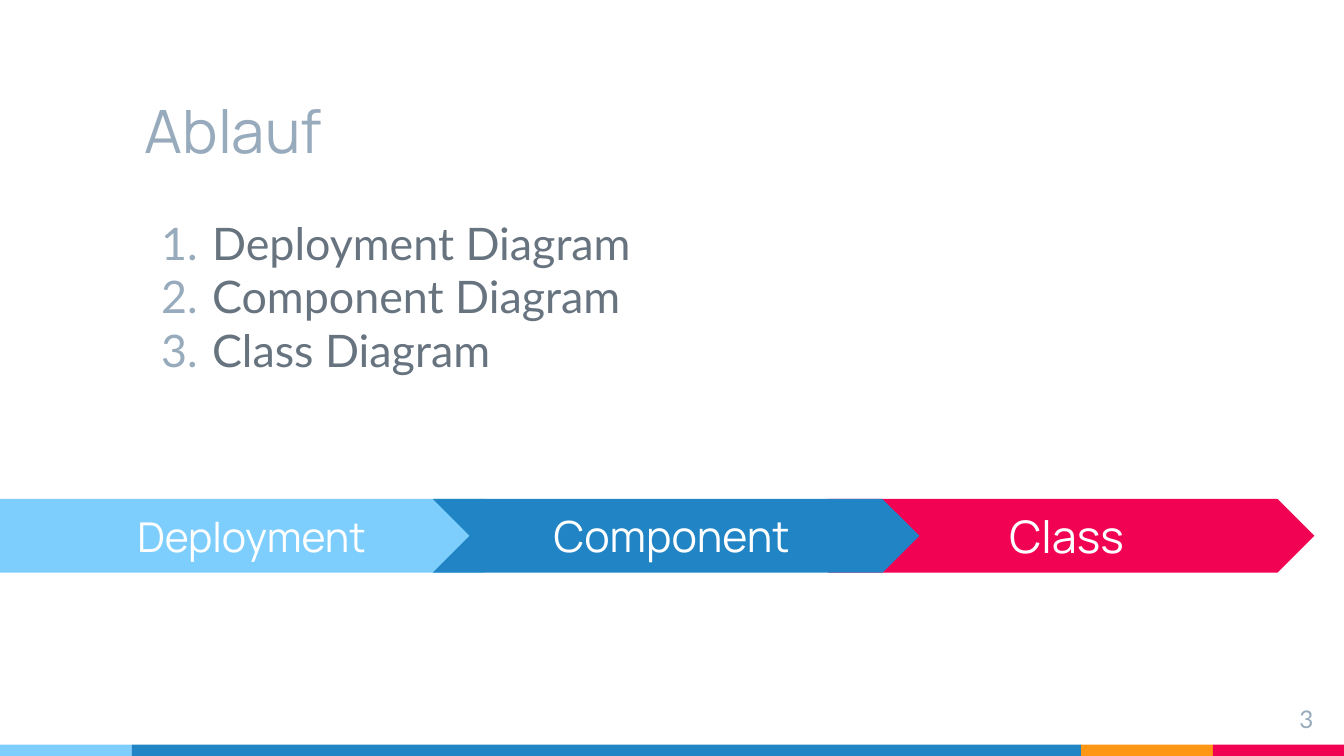
import pptx
import pptx.util
import pptx.dml.color
import pptx.enum.shapes
import pptx.enum.text
import lxml.etree
import pptx.oxml.ns

RGBColor = pptx.dml.color.RGBColor
SKY = RGBColor(0x7E, 0xCE, 0xFD)
BLUE = RGBColor(0x21, 0x85, 0xC5)
ORANGE = RGBColor(0xFF, 0x97, 0x15)
RED = RGBColor(0xF2, 0x02, 0x53)
MIST = RGBColor(0x97, 0xAB, 0xBC)
SLATE = RGBColor(0x67, 0x74, 0x80)
WHITE = RGBColor(0xFF, 0xFF, 0xFF)

KIND = pptx.enum.shapes.MSO_SHAPE
ALIGN = pptx.enum.text.PP_ALIGN
ANCHOR = pptx.enum.text.MSO_ANCHOR
qn = pptx.oxml.ns.qn

deck = pptx.Presentation()
deck.slide_width = pptx.util.Inches(10)
deck.slide_height = pptx.util.Inches(5.625)
slide = deck.slides.add_slide(deck.slide_layouts[6])
col = deck.slide_width / 100
row = deck.slide_height / 100


def write(shape, text, size=24, font="Manrope", color=WHITE,
          align=ALIGN.CENTER, anchor=ANCHOR.MIDDLE):
    frame = shape.text_frame
    frame.word_wrap = True
    frame.vertical_anchor = anchor
    frame.margin_left = frame.margin_right = pptx.util.Inches(0.1)
    frame.margin_top = frame.margin_bottom = pptx.util.Inches(0.1)
    frame.text = text
    for para in frame.paragraphs:
        para.alignment = align
        para.font.size = pptx.util.Pt(size)
        for run in para.runs:
            run.font.size = pptx.util.Pt(size)
            run.font.name = font
            run.font.color.rgb = color
    return frame


def block(kind, left, top, width, height, color):
    shape = slide.shapes.add_shape(
        kind, *(int(n) for n in (left * col, top * row, width * col, height * row)))
    shape.shadow.inherit = False
    shape.fill.solid()
    shape.fill.fore_color.rgb = color
    shape.line.fill.background()
    return shape


left = 0
for width, color in ((9.8, SKY), (70.65, BLUE), (9.8, ORANGE), (9.75, RED)):
    block(KIND.RECTANGLE, left, 98.5, width, 1.5, color)
    left += width

boxes = [
    slide.shapes.add_textbox(int(x * col), int(y * row), int(w * col), int(h * row))
    for x, y, w, h in ((9.8, 6.9, 70.7, 16.75), (9.8, 26.7, 70.7, 69), (92.7, 91.4, 6, 6))
]
title, body, page = boxes
write(title, "Ablauf", size=32, color=MIST, align=ALIGN.LEFT, anchor=ANCHOR.BOTTOM)
items = write(body, "Deployment Diagram\nComponent Diagram\nClass Diagram",
              font="Lato", color=SLATE, align=ALIGN.LEFT, anchor=ANCHOR.TOP)
write(page, "3", size=13, font="Lato", color=MIST, align=ALIGN.RIGHT, anchor=ANCHOR.TOP)

items.paragraphs[0].space_before = pptx.util.Pt(6)
for para in items.paragraphs:
    props = para._p.get_or_add_pPr()
    props.set("marL", str(pptx.util.Inches(0.5)))
    props.set("indent", str(pptx.util.Inches(-0.38)))
    tint = lxml.etree.Element(qn("a:buClr"))
    lxml.etree.SubElement(tint, qn("a:srgbClr")).set("val", str(MIST))
    mark = lxml.etree.Element(qn("a:buAutoNum"))
    mark.set("type", "arabicPeriod")
    spot = 1 if para.space_before is not None else 0
    props.insert(spot, tint)
    props.insert(spot + 1, mark)

for kind, left, width, color, text, size in (
    (KIND.CHEVRON, 61.6, 36.2, RED, "Class ", 24),
    (KIND.PENTAGON, 0, 38.8, SKY, "Deployment", 22),
    (KIND.CHEVRON, 32.2, 36.2, BLUE, "Component ", 23),
):
    step = block(kind, left, 66, width, 9.75, color)
    step.adjustments[0] = 0.5
    write(step, text, size=size)

deck.save("out.pptx")
